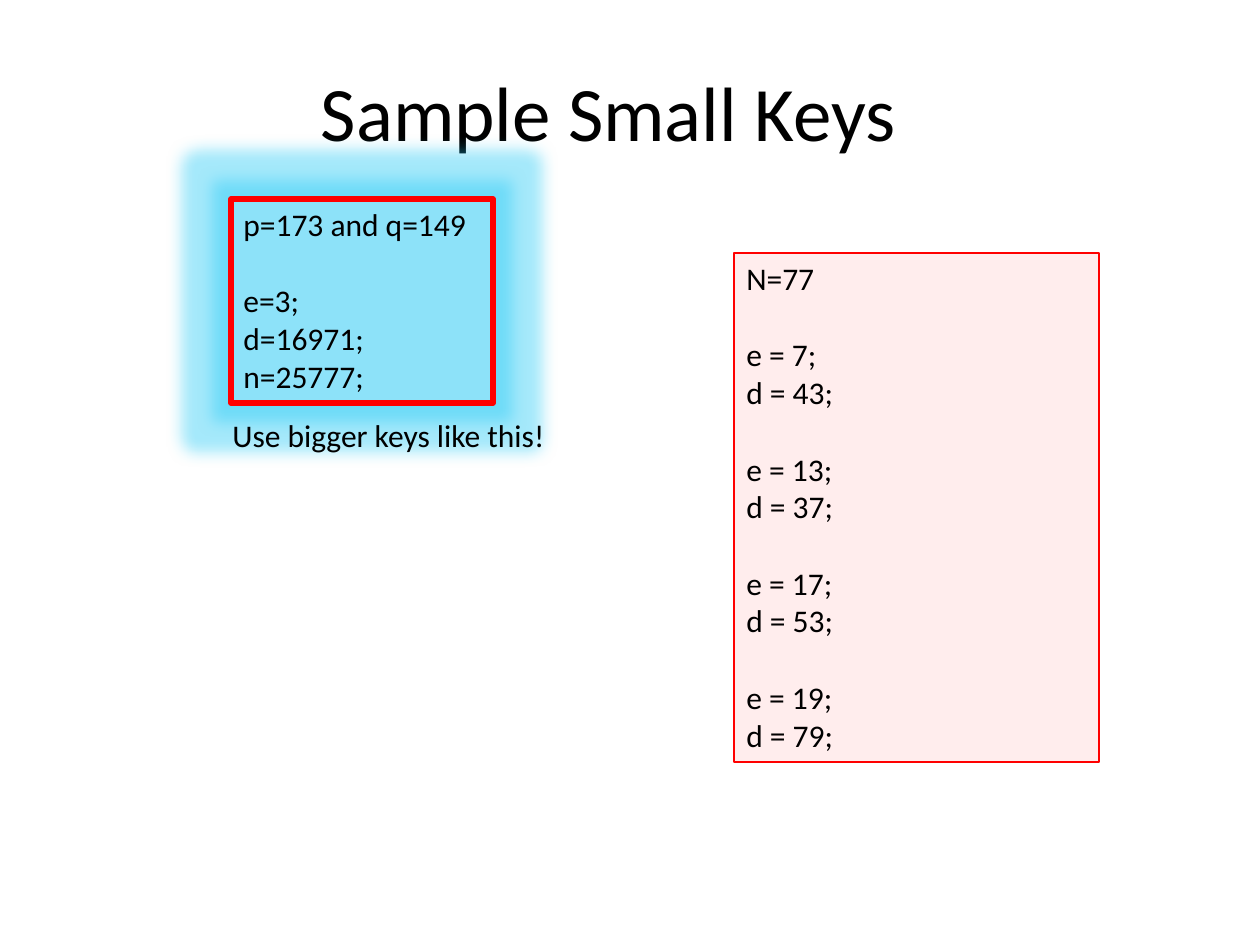
from dataclasses import dataclass

from lxml import etree
from pptx import Presentation
from pptx.dml.color import RGBColor
from pptx.enum.shapes import MSO_SHAPE
from pptx.enum.text import MSO_ANCHOR, MSO_AUTO_SIZE, PP_ALIGN
from pptx.oxml.ns import qn
from pptx.util import Pt

RECT = MSO_SHAPE.RECTANGLE
TOP, MIDDLE = MSO_ANCHOR.TOP, MSO_ANCHOR.MIDDLE
LEFT, CENTER = PP_ALIGN.LEFT, PP_ALIGN.CENTER
GROW = MSO_AUTO_SIZE.SHAPE_TO_FIT_TEXT
PX = 914400 // 126


@dataclass(frozen=True)
class Theme:
    font: str = "Calibri"
    title: int = 44
    body: int = 18
    gap: int = 22
    ink: str = "000000"
    edge: str = "FF0000"
    pink: str = "FFABAB"
    white: str = "FFFFFF"
    glow: str = "1EC8F5"


def add_alpha(node, percent):
    etree.SubElement(node, qn("a:alpha"), val=str(percent * 1000))


class Deck:
    def __init__(self, theme):
        self.theme = theme
        self.prs = Presentation()
        self.prs.slide_width, self.prs.slide_height = 1260 * PX, 945 * PX
        self.slide = self.prs.slides.add_slide(self.prs.slide_layouts[6])

    def put_text(self, shape, groups, size, align=LEFT):
        """Set groups of lines, with one line of space between groups."""
        frame = shape.text_frame
        para = None
        for group in groups:
            for row, line in enumerate(group):
                first = para is None
                para = frame.paragraphs[0] if first else frame.add_paragraph()
                para.text = line
                para.alignment = align
                para.font.name = self.theme.font
                para.font.size = Pt(size)
                para.font.color.rgb = RGBColor.from_string(self.theme.ink)
                if row == 0 and not first:
                    para.space_before = Pt(self.theme.gap)

    def label(self, box, text, size, align=LEFT, anchor=TOP, wrap=True):
        shape = self.slide.shapes.add_textbox(*(n * PX for n in box))
        shape.text_frame.word_wrap = wrap
        shape.text_frame.vertical_anchor = anchor
        self.put_text(shape, [[text]], size, align)

    def panel(self, box, groups, fill, width):
        shape = self.slide.shapes.add_shape(RECT, *(n * PX for n in box))
        shape.shadow.inherit = False
        shape.fill.solid()
        shape.fill.fore_color.rgb = RGBColor.from_string(fill)
        add_alpha(shape.element.spPr.find(qn("a:solidFill"))[0], 21)
        shape.line.color.rgb = RGBColor.from_string(self.theme.edge)
        shape.line.width = Pt(width)
        frame = shape.text_frame
        frame.word_wrap = True
        frame.auto_size = GROW
        frame.vertical_anchor = TOP
        self.put_text(shape, groups, self.theme.body)
        return shape

    def glow(self, shape, radius):
        effects = shape.element.spPr.find(qn("a:effectLst"))
        glow = etree.SubElement(effects, qn("a:glow"), rad=str(int(Pt(radius))))
        color = etree.SubElement(glow, qn("a:srgbClr"), val=self.theme.glow)
        add_alpha(color, 40)


def main():
    theme = Theme()
    deck = Deck(theme)
    deck.label((73, 15, 1071, 192), "Sample Small Keys", theme.title,
               CENTER, MIDDLE)
    pairs = [(7, 43), (13, 37), (17, 53), (19, 79)]
    keys = [[f"e = {e};", f"d = {d};"] for e, d in pairs]
    deck.panel((734, 253, 365, 509), [["N=77"], *keys], theme.pink, 0.75)
    large = deck.panel((231, 199, 262, 204),
                       [["p=173 and q=149"], ["e=3;", "d=16971;", "n=25777;"]],
                       theme.white, 3.25)
    deck.glow(large, 18)
    deck.label((220, 410, 341, 50), "Use bigger keys like this!", theme.body,
               wrap=False)
    deck.prs.save("out.pptx")


if __name__ == "__main__":
    main()
